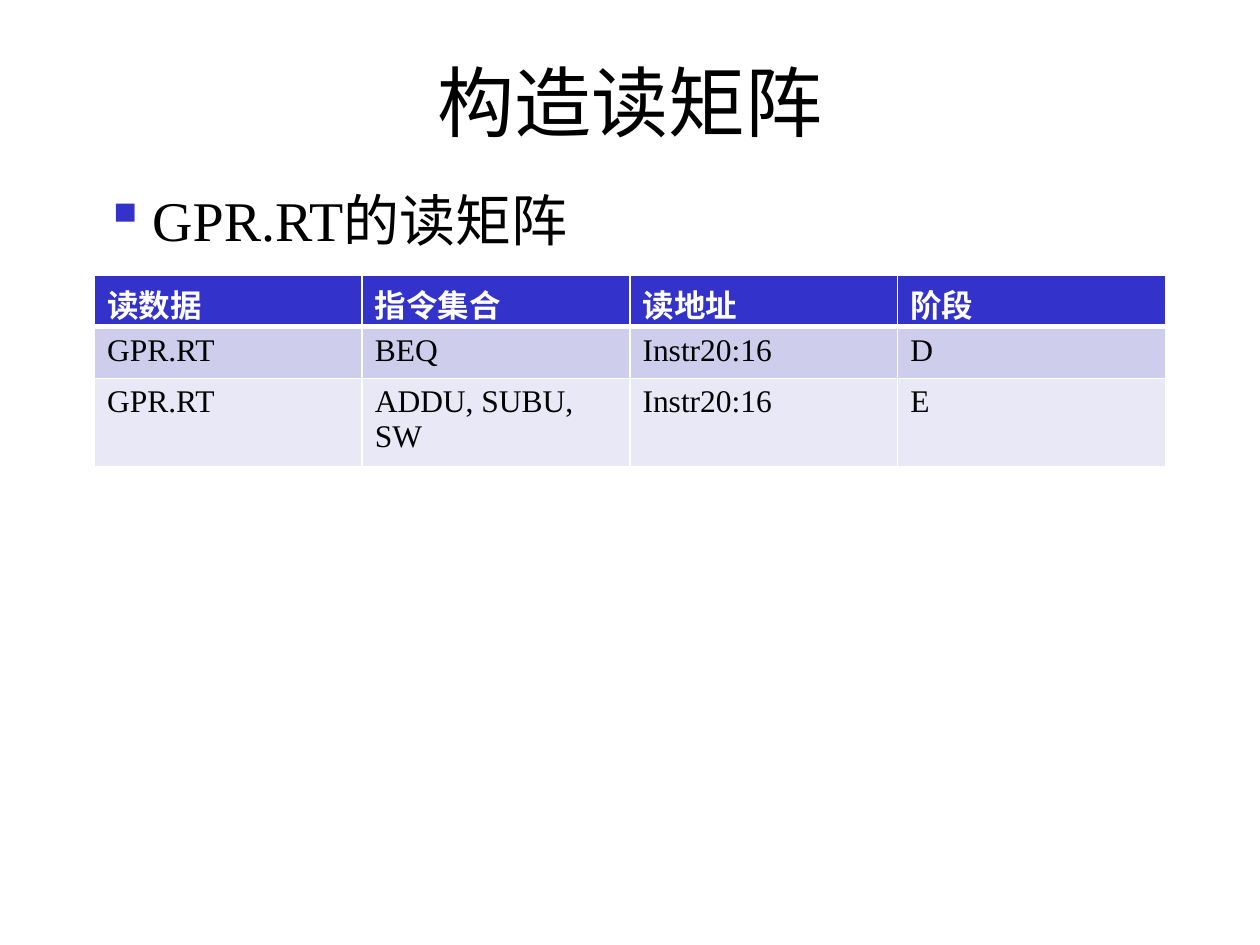
from lxml.etree import SubElement
from pptx import Presentation
from pptx.dml.color import RGBColor
from pptx.enum.text import MSO_ANCHOR, PP_ALIGN
from pptx.oxml.ns import qn
from pptx.util import Emu, Inches, Pt

COLORS = {
    "ink": "000000",
    "paper": "FFFFFF",
    "accent": "3333CC",
    "band_dark": "CECEEC",
    "band_light": "E8E8F6",
}
FONT = "Times New Roman"
WIDTH, HEIGHT = Inches(10), Inches(7.5)
MARGIN = 0.075
CONTENT = 1 - 2 * MARGIN
ROWS = [
    ["读数据", "指令集合", "读地址", "阶段"],
    ["GPR.RT", "BEQ", "Instr20:16", "D"],
    ["GPR.RT", "ADDU, SUBU, SW", "Instr20:16", "E"],
]
ROW_FILLS = ["accent", "band_dark", "band_light"]


def area(left, top, width, height):
    """Turn shares of the slide's size into lengths."""
    return (Emu(int(WIDTH * left)), Emu(int(HEIGHT * top)),
            Emu(int(WIDTH * width)), Emu(int(HEIGHT * height)))


def write(frame, text, size=18, color="ink", bold=False, align=PP_ALIGN.LEFT):
    """Put formatted text in a frame and return its paragraph."""
    para = frame.paragraphs[0]
    para.alignment = align
    span = para.add_run()
    span.text = text
    span.font.name = FONT
    span.font.size = Pt(size)
    span.font.bold = bold
    span.font.color.rgb = RGBColor.from_string(COLORS[color])
    return para


def add_text(page, place, text, anchor=MSO_ANCHOR.TOP, **style):
    """Add a wrapped text box and return its paragraph."""
    frame = page.shapes.add_textbox(*place).text_frame
    frame.word_wrap = True
    frame.vertical_anchor = anchor
    return write(frame, text, **style)


def add_bullet(para, mark, color, indent):
    """Give a paragraph a coloured bullet with a hanging indent."""
    properties = para._p.get_or_add_pPr()
    properties.set("marL", str(indent))
    properties.set("indent", str(-indent))
    tint = SubElement(properties, qn("a:buClr"))
    SubElement(tint, qn("a:srgbClr"), val=COLORS[color])
    SubElement(properties, qn("a:buChar"), char=mark)


def add_borders(cell, bottom):
    """Draw white lines around a cell, with its own bottom width."""
    properties = cell._tc.get_or_add_tcPr()
    widths = {"lnL": 1, "lnR": 1, "lnT": 1, "lnB": bottom}
    for side, width in widths.items():
        line = SubElement(properties, qn(f"a:{side}"), w=str(Pt(width)))
        fill = SubElement(line, qn("a:solidFill"))
        SubElement(fill, qn("a:srgbClr"), val=COLORS["paper"])


def add_matrix(page, place, rows):
    """Add the read matrix with a header row and banded body rows."""
    table = page.shapes.add_table(len(rows), len(rows[0]), *place).table
    for row_index, row in enumerate(rows):
        header = row_index == 0
        for column_index, text in enumerate(row):
            cell = table.cell(row_index, column_index)
            write(cell.text_frame, text, bold=header,
                  color="paper" if header else "ink")
            add_borders(cell, bottom=3 if header else 1)
            cell.fill.solid()
            cell.fill.fore_color.rgb = RGBColor.from_string(
                COLORS[ROW_FILLS[row_index]])


def main():
    """Build the slide and save it."""
    deck = Presentation()
    deck.slide_width, deck.slide_height = WIDTH, HEIGHT
    page = deck.slides.add_slide(deck.slide_layouts[6])
    add_text(page, area(MARGIN, 0.023, CONTENT, 0.167), "构造读矩阵",
             anchor=MSO_ANCHOR.MIDDLE, size=44, align=PP_ALIGN.CENTER)
    para = add_text(page, area(0.073, 0.19, CONTENT, 0.784),
                    "GPR.RT的读矩阵", size=32)
    para.space_before = Pt(6.4)
    add_bullet(para, "▪", "accent", Inches(0.38))
    add_matrix(page, area(MARGIN, 0.291, CONTENT, 0.164), ROWS)
    deck.save("out.pptx")


if __name__ == "__main__":
    main()
